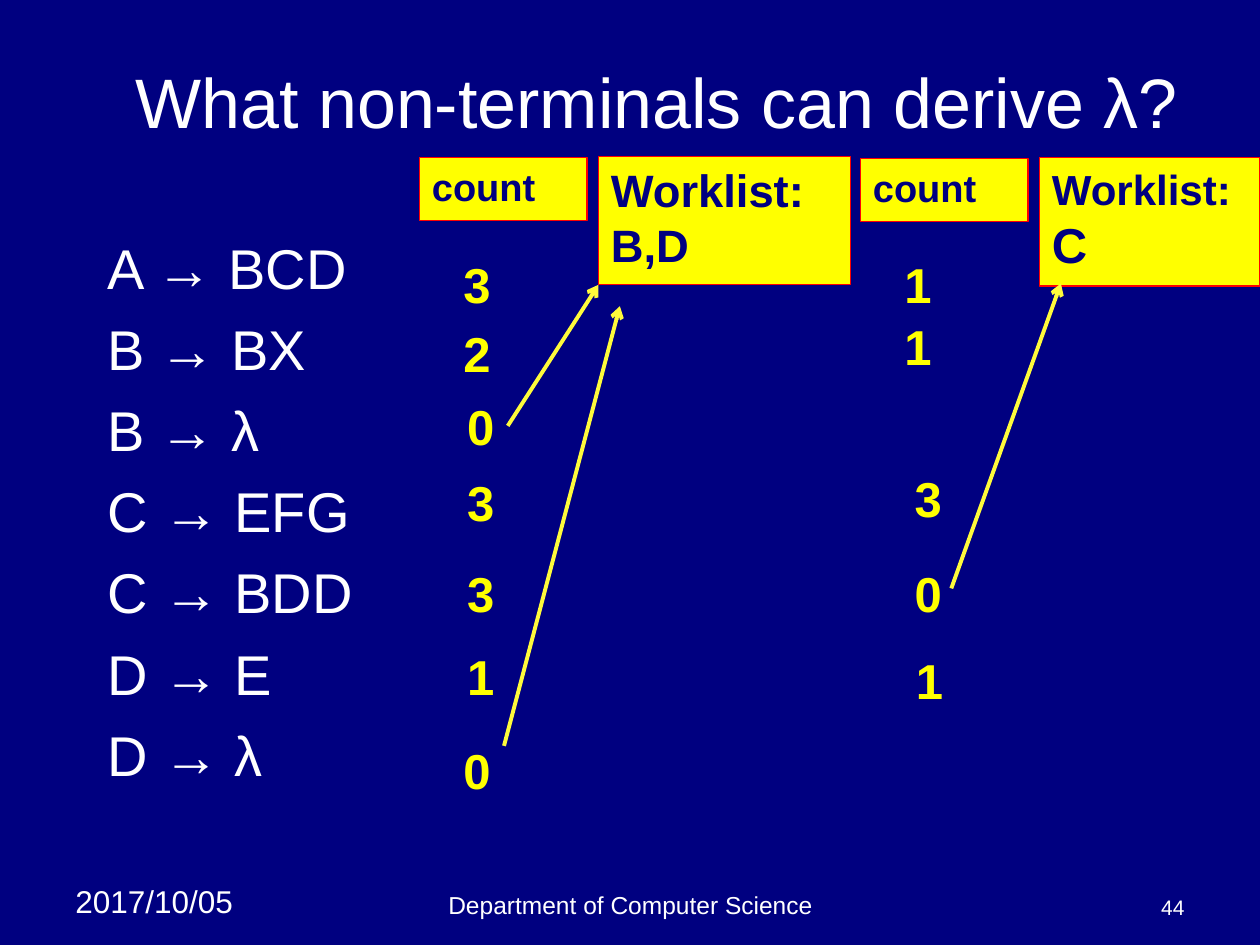
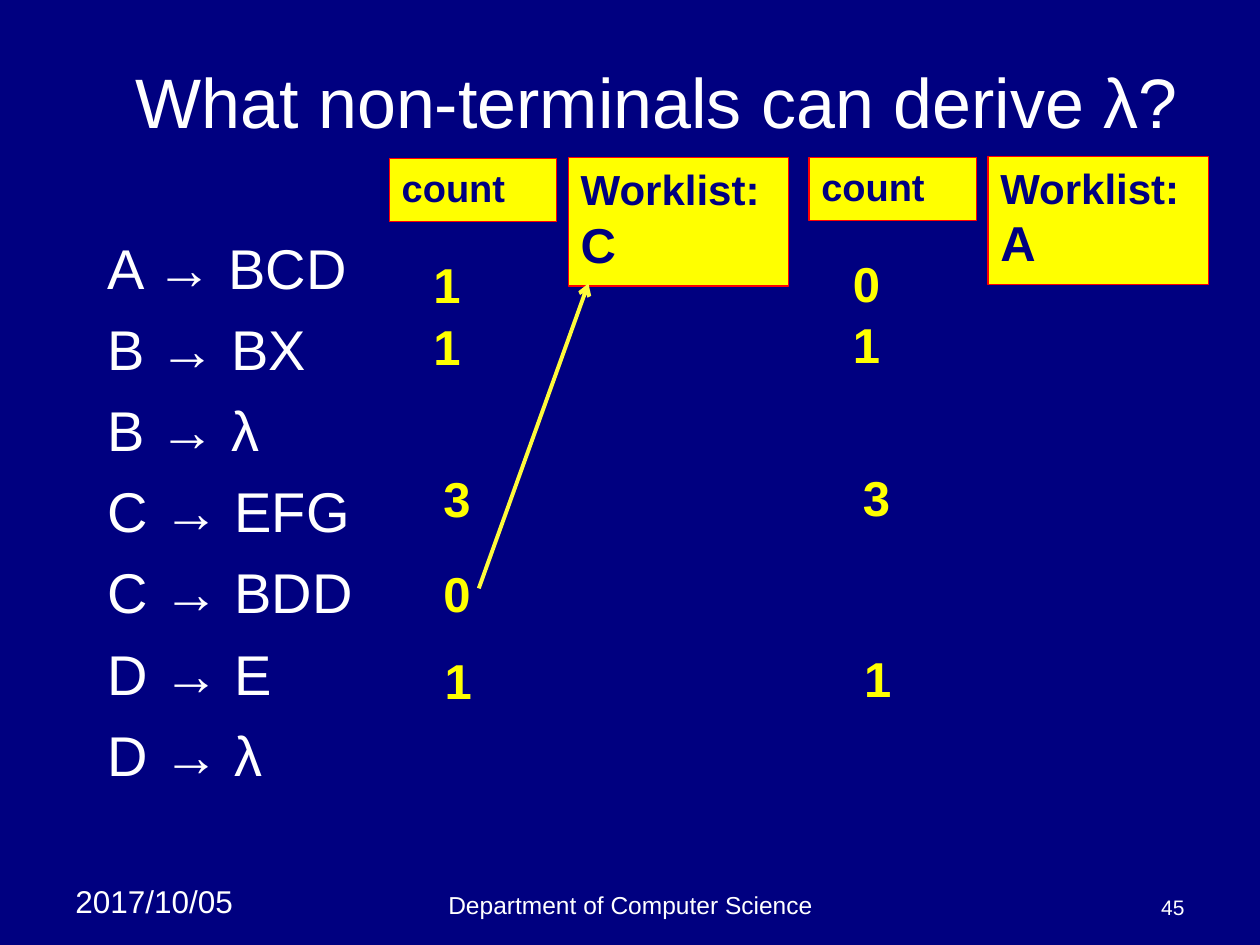
from lxml import etree
from pptx import Presentation
from pptx.dml.color import RGBColor
from pptx.enum.shapes import MSO_CONNECTOR as Connector, MSO_SHAPE as Shape
from pptx.enum.text import MSO_ANCHOR as Anchor, MSO_AUTO_SIZE as AutoSize, PP_ALIGN as Align
from pptx.oxml.ns import qn
from pptx.util import Inches, Pt

# Content
TITLE = "What non-terminals can derive λ?"
RULES = ["A → BCD", "B → BX", "B → λ", "C → EFG", "C → BDD", "D → E", "D → λ"]

# One character of "counts" per rule; a space leaves that rule without a count
SLIDES = [
    (44, [
        {"left": 3.33, "top": 1.25, "layout": "first", "counts": "3203310",
         "worklist": "B,D", "arrows": [(0.7, 2.13, 1.42, 1.01), (0.67, 4.67, 1.59, 1.18)]},
        {"left": 6.83, "top": 1.26, "layout": "later", "counts": "11 301 ",
         "worklist": "C", "arrows": [(0.72, 3.41, 1.59, 0.99)]},
    ]),
    (45, [
        {"left": 3.09, "top": 1.26, "layout": "later", "counts": "11 301 ",
         "worklist": "C", "arrows": [(0.71, 3.41, 1.58, 0.99)]},
        {"left": 6.42, "top": 1.25, "layout": "later", "counts": "01 3 1 ",
         "worklist": "A", "arrows": []},
    ]),
]

# Shared look
FONT = "Arial"
COLORS = {"navy": "000080", "white": "FFFFFF", "yellow": "FFFF00",
          "red": "FF0000", "arrow": "FFFB3B"}
STYLES = {
    "title": {"size": 40, "color": "white"},
    "rule": {"size": 32, "color": "white"},
    "date": {"size": 18, "color": "white"},
    "department": {"size": 14, "color": "white"},
    "number": {"size": 12, "color": "white"},
    "count": {"size": 28, "color": "yellow", "bold": True},
    "count header": {"size": 21.7, "color": "navy", "bold": True},
    "wide worklist": {"size": 25.9, "color": "navy", "bold": True},
    "worklist": {"size": 24, "color": "navy", "bold": True},
    "worklist items": {"size": 28, "color": "navy", "bold": True},
}
# Offsets of the counts from the corner of their panel, one per rule
LAYOUTS = {
    "first": {
        "across": [0.25, 0.25, 0.28, 0.28, 0.28, 0.28, 0.25],
        "down": [0.72, 1.27, 1.85, 2.45, 3.17, 3.83, 4.58],
        "width": 2, "styles": ("wide worklist", "wide worklist"),
    },
    "later": {
        "across": [0.25, 0.25, 0.25, 0.33, 0.33, 0.34, 0.34],
        "down": [0.71, 1.2, 1.8, 2.41, 3.16, 3.85, 4.58],
        "width": 1.75, "styles": ("worklist", "worklist items"),
    },
}
WORKLIST_OFFSET = (1.42, -0.01)


def rgb(name):
    return RGBColor.from_string(COLORS[name])


def write(shape, lines, align=Align.LEFT, anchor=Anchor.TOP, wrap=True, space=0):
    """Fill a shape with (text, style name) lines."""
    frame = shape.text_frame
    frame.auto_size = AutoSize.NONE
    frame.word_wrap = wrap
    frame.vertical_anchor = anchor
    for index, (text, style) in enumerate(lines):
        paragraph = frame.add_paragraph() if index else frame.paragraphs[0]
        paragraph.alignment = align
        paragraph.space_before = Pt(space)
        run = paragraph.add_run()
        run.text = text
        look = STYLES[style]
        values = {"name": FONT, "size": Pt(look["size"]), "bold": look.get("bold", False)}
        for attribute, value in values.items():
            setattr(run.font, attribute, value)
        run.font.color.rgb = rgb(look["color"])


def place(shape, *box):
    for attribute, value in zip(("left", "top", "width", "height"), box):
        setattr(shape, attribute, Inches(value))


def add_text(slide, box, text, style, **options):
    write(slide.shapes.add_textbox(*map(Inches, box)), [(text, style)], **options)


def add_box(slide, box, lines):
    shape = slide.shapes.add_shape(Shape.RECTANGLE, *map(Inches, box))
    shape.shadow.inherit = False
    shape.fill.solid()
    shape.fill.fore_color.rgb = rgb("yellow")
    shape.line.color.rgb = rgb("red")
    shape.line.width = Pt(0.75)
    write(shape, lines)


def add_arrow(slide, *ends):
    connector = slide.shapes.add_connector(Connector.STRAIGHT, *map(Inches, ends))
    connector.line.color.rgb = rgb("arrow")
    connector.line.width = Pt(2.25)
    etree.SubElement(connector.line._get_or_add_ln(), qn("a:tailEnd"), type="arrow")
    etree.SubElement(connector._element.spPr, qn("a:effectLst"))


def add_frame(slide, number):
    """Footer, title and grammar rules."""
    add_text(slide, (0.5, 6.95, 1.58, 0.4), "2017/10/05", "date")
    add_text(slide, (3.42, 6.83, 3.17, 0.52), "Department of Computer Science",
             "department", align=Align.CENTER, anchor=Anchor.BOTTOM)
    add_text(slide, (7.17, 6.83, 2.33, 0.52), str(number), "number",
             align=Align.RIGHT, anchor=Anchor.BOTTOM)

    title, body = slide.placeholders
    place(title, 0.75, 0.42, 8.92, 0.75)
    write(title, [(TITLE, "title")], align=Align.CENTER, anchor=Anchor.MIDDLE)
    place(body, 0.75, 1.8, 8.58, 4.58)
    write(body, [(rule, "rule") for rule in RULES], space=8)
    for paragraph in body.text_frame.paragraphs:
        properties = paragraph._p.get_or_add_pPr()
        properties.set("marL", "0")
        properties.set("indent", "0")
        etree.SubElement(properties, qn("a:buNone"))


def add_panel(slide, panel):
    """Count column with its worklist and arrows."""
    left, top = panel["left"], panel["top"]
    layout = LAYOUTS[panel["layout"]]
    add_box(slide, (left, top, 1.33, 0.5), [("count", "count header")])
    for count, across, down in zip(panel["counts"], layout["across"], layout["down"]):
        if count != " ":
            add_text(slide, (left + across, top + down, 0.41, 0.57), count, "count", wrap=False)
    across, down = WORKLIST_OFFSET
    add_box(slide, (left + across, top + down, layout["width"], 1.02),
            zip(("Worklist:", panel["worklist"]), layout["styles"]))
    for x1, y1, x2, y2 in panel["arrows"]:
        add_arrow(slide, left + x1, top + y1, left + x2, top + y2)


def main():
    presentation = Presentation()
    presentation.slide_width, presentation.slide_height = Inches(10), Inches(7.5)
    background = presentation.slide_master.background.fill
    background.solid()
    background.fore_color.rgb = rgb("navy")

    for number, panels in SLIDES:
        slide = presentation.slides.add_slide(presentation.slide_layouts[1])
        add_frame(slide, number)
        for panel in panels:
            add_panel(slide, panel)
    presentation.save("out.pptx")


if __name__ == "__main__":
    main()
